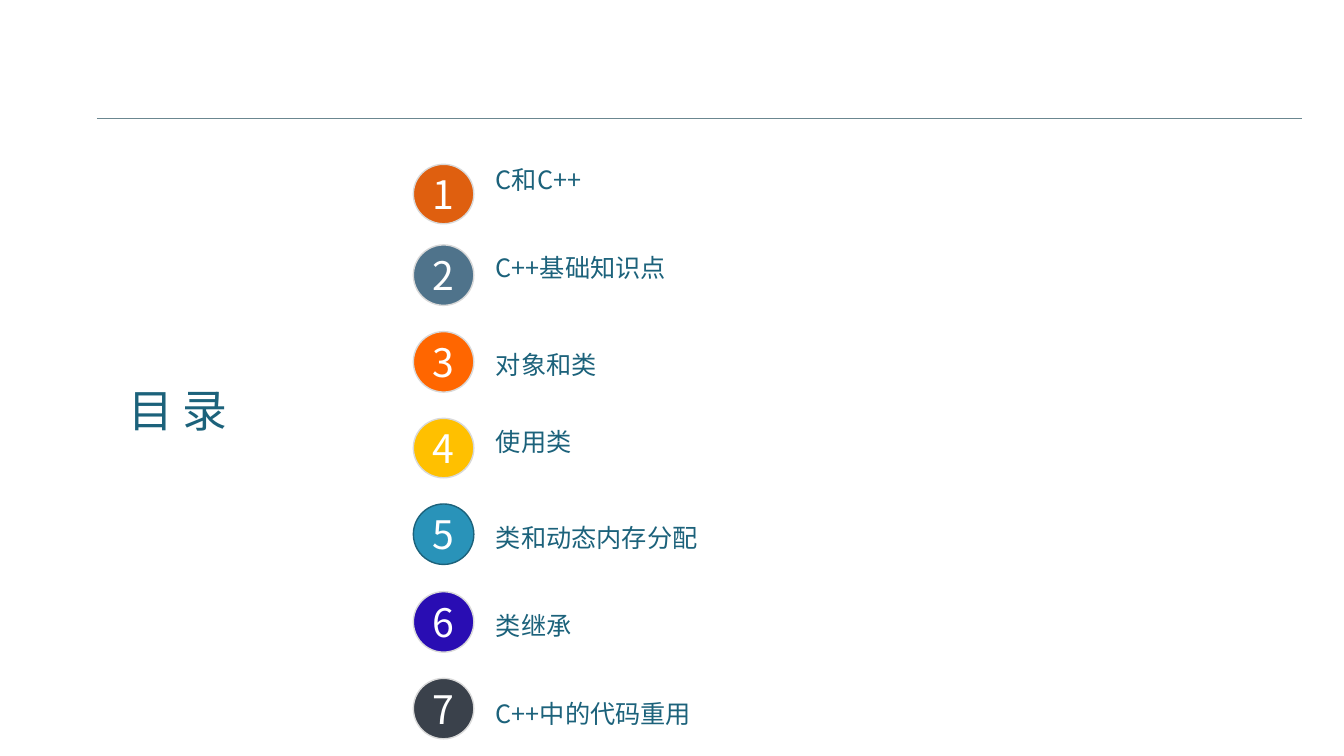
"""Builds the table of contents slide for a C++ course."""
from dataclasses import dataclass

import lxml.etree
import pptx
import pptx.dml.color
import pptx.enum.shapes
import pptx.enum.text
import pptx.oxml.ns
import pptx.util

PX = 9144
FONT = "Noto Sans CJK SC"
TEAL = "1C627B"
WHITE = "FFFFFF"
TOP = pptx.enum.text.MSO_ANCHOR.TOP
MIDDLE = pptx.enum.text.MSO_ANCHOR.MIDDLE
LEFT = pptx.enum.text.PP_ALIGN.LEFT
CENTER = pptx.enum.text.PP_ALIGN.CENTER
JUSTIFY = pptx.enum.text.PP_ALIGN.JUSTIFY


@dataclass(frozen=True)
class Chapter:
    """One numbered entry of the contents list."""
    name: str
    fill: str
    badge_top: int
    label_top: int
    badge_height: int = 60
    outline: str = "D9D9D9"
    anchor: pptx.enum.text.MSO_ANCHOR = MIDDLE


CHAPTERS = [
    Chapter("C和C++", "DF5F0F", 163, 162, badge_height=59, anchor=TOP),
    Chapter("C++基础知识点", "4F738B", 243, 249, anchor=TOP),
    Chapter("对象和类", "FF6600", 329, 346, anchor=TOP),
    Chapter("使用类", "FFC000", 415, 422, badge_height=59, anchor=TOP),
    Chapter("类和动态内存分配", "2993B9", 500, 508, outline=TEAL),
    Chapter("类继承", "290DB3", 587, 595),
    Chapter("C++中的代码重用", "3A414B", 673, 682),
]


def px(length: int) -> pptx.util.Emu:
    """Turn px into EMU."""
    return pptx.util.Emu(length * PX)


def rgb(color: str) -> pptx.dml.color.RGBColor:
    """Turn a hex string into a colour."""
    return pptx.dml.color.RGBColor.from_string(color)


def write(shape, text: str, size: int, color: str, align, anchor) -> None:
    """Write one run of text into a shape."""
    frame = shape.text_frame
    frame.auto_size = pptx.enum.text.MSO_AUTO_SIZE.NONE
    frame.vertical_anchor = anchor
    frame.margin_top = frame.margin_bottom = px(1)
    paragraph = frame.paragraphs[0]
    paragraph.alignment = align
    run = paragraph.add_run()
    run.text = text
    run.font.size = pptx.util.Pt(size)
    run.font.name = FONT
    run.font.color.rgb = rgb(color)
    east_asian = lxml.etree.SubElement(run.font._element, pptx.oxml.ns.qn("a:ea"))
    east_asian.set("typeface", FONT)


def draw_title(slide) -> None:
    """Place the heading in the title placeholder."""
    title = slide.shapes.title
    title.left, title.top, title.width, title.height = map(px, (117, 374, 141, 64))
    write(title, "目 录", 32, TEAL, JUSTIFY, MIDDLE)


def draw_rule(slide) -> None:
    """Draw the thin line across the top."""
    rule = slide.shapes.add_connector(
        pptx.enum.shapes.MSO_CONNECTOR.STRAIGHT, px(96), px(117), px(1291), px(117))
    rule.line.color.rgb = rgb("6B8790")
    rule.line.width = pptx.util.Pt(0.25)
    lxml.etree.SubElement(rule._element.spPr, pptx.oxml.ns.qn("a:effectLst"))


def draw_chapter(slide, number: int, chapter: Chapter) -> None:
    """Draw a numbered badge and its chapter name."""
    badge = slide.shapes.add_shape(
        pptx.enum.shapes.MSO_SHAPE.OVAL,
        px(410), px(chapter.badge_top), px(60), px(chapter.badge_height))
    badge.shadow.inherit = False
    badge.fill.solid()
    badge.fill.fore_color.rgb = rgb(chapter.fill)
    badge.line.color.rgb = rgb(chapter.outline)
    badge.line.width = pptx.util.Pt(1)
    badge.text_frame.margin_left = badge.text_frame.margin_right = 0
    write(badge, str(number), 28, WHITE, CENTER, MIDDLE)

    label = slide.shapes.add_textbox(px(482), px(chapter.label_top), px(287), px(51))
    label.text_frame.word_wrap = True
    write(label, chapter.name, 18, TEAL, LEFT, chapter.anchor)


def main() -> None:
    """Build and save the slide."""
    deck = pptx.Presentation()
    deck.slide_width, deck.slide_height = px(1333), px(750)
    slide = deck.slides.add_slide(deck.slide_layouts.get_by_name("Title Only"))
    draw_title(slide)
    draw_rule(slide)
    for number, chapter in enumerate(CHAPTERS, start=1):
        draw_chapter(slide, number, chapter)
    deck.save("out.pptx")


if __name__ == "__main__":
    main()
